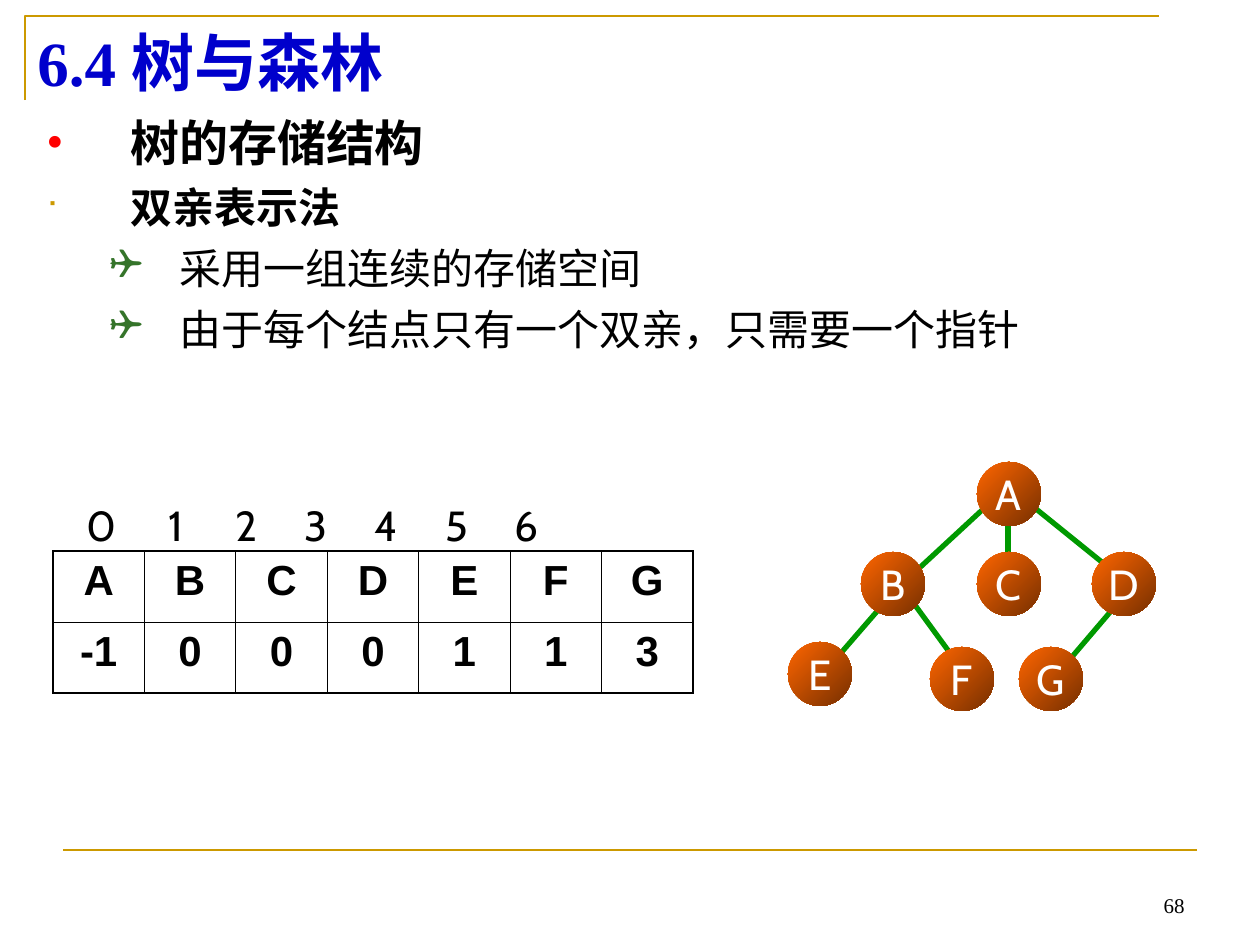
import pptx
import pptx.dml.color
import pptx.enum.shapes
import pptx.enum.text
import pptx.util
from lxml import etree
from pptx.oxml.ns import qn

PX_PER_INCH = 126
CJK, SERIF, SANS, ROUND = "Noto Sans CJK SC", "Times New Roman", "Arial", "Cabin"
GOLD, GREEN, BLACK = "CC9900", "009900", "000000"
ALIGN = pptx.enum.text.PP_ALIGN
ANCHOR = pptx.enum.text.MSO_ANCHOR


def px(v):
    return pptx.util.Emu(round(v * 914400 / PX_PER_INCH))


def rgb(color):
    return pptx.dml.color.RGBColor.from_string(color)


def sub(parent, tag, **attrs):
    return etree.SubElement(parent, qn(tag), attrs)


def add_run(p, text, size, font, color=BLACK, bold=False):
    r = p.add_run()
    r.text = text
    r.font.size, r.font.name, r.font.bold = pptx.util.Pt(size), font, bold
    r.font.color.rgb = rgb(color)
    sub(r.font._element, "a:ea", typeface=CJK)


def add_text_frame(s, x, y, w, h, anchor=ANCHOR.TOP):
    tf = s.shapes.add_textbox(px(x), px(y), px(w), px(h)).text_frame
    tf.word_wrap, tf.vertical_anchor = True, anchor
    return tf


def add_line(s, x1, y1, x2, y2, color, width):
    c = s.shapes.add_connector(pptx.enum.shapes.MSO_CONNECTOR.STRAIGHT,
                               px(x1), px(y1), px(x2), px(y2))
    c.line.color.rgb, c.line.width = rgb(color), pptx.util.Pt(width)
    sub(c._element.spPr, "a:effectLst")


def add_frame(s, x, y, w, h):
    """Draw the corner rule round the title and the rule above the footer."""
    fb = s.shapes.build_freeform(px(x), px(y + h))
    fb.add_line_segments([(px(x), px(y)), (px(x + w), px(y))], close=False)
    sp = fb.convert_to_shape()
    sp.shadow.inherit = False
    sp.fill.background()
    sp.line.color.rgb, sp.line.width = rgb(GOLD), pptx.util.Pt(1.5)
    add_line(s, x + 38, y + 834, x + 38 + w, y + 834, GOLD, 1.5)


def add_title(s, x, y, w, h):
    tf = add_text_frame(s, x, y, w, h, ANCHOR.MIDDLE)
    add_run(tf.paragraphs[0], "6.4 树与森林", 36, SERIF, "0000CC", True)


def add_page_number(s, x, y, w, h):
    p = add_text_frame(s, x, y, w, h, ANCHOR.BOTTOM).paragraphs[0]
    p.alignment = ALIGN.RIGHT
    add_run(p, "68", 12, SERIF)


def add_bullet(p, char, color, percent, indent, hanging):
    pPr = p._p.get_or_add_pPr()
    pPr.set("marL", str(px(indent)))
    pPr.set("indent", str(-px(hanging)))
    sub(sub(pPr, "a:buClr"), "a:srgbClr", val=color)
    sub(pPr, "a:buSzPct", val=str(percent * 1000))
    sub(pPr, "a:buFont", typeface=SERIF if char == "•" else "Wingdings")
    sub(pPr, "a:buChar", char=char)


def add_outline(s, x, y, w, h):
    top = (84, 84)
    nested = (133, 70)
    items = [
        ("树的存储结构", 28, True, "•", "FF0000", 100, top),
        ("双亲表示法", 24, True, "■", GOLD, 65, top),
        ("采用一组连续的存储空间", 24, False, "❑", "35742A", 100, nested),
        ("由于每个结点只有一个双亲，只需要一个指针", 24, False, "❑", "35742A", 100, nested),
    ]
    tf = add_text_frame(s, x, y, w, h)
    for i, (text, size, bold, char, color, percent, indents) in enumerate(items):
        p = tf.add_paragraph() if i else tf.paragraphs[0]
        add_bullet(p, char, color, percent, *indents)
        if i:
            p.space_before = pptx.util.Pt(6)
            p.level = int(indents is nested)
        add_run(p, text, size, CJK, bold=bold)


def add_index_row(s, x, y, w, h):
    """Place the array indexes on centred tab stops."""
    p = add_text_frame(s, x, y, w, h).paragraphs[0]
    tabs = sub(p._p.get_or_add_pPr(), "a:tabLst")
    for i in range(6):
        sub(tabs, "a:tab", pos=str(px(90 + 70 * i)), algn="ctr")
    add_run(p, "\t".join(str(i) for i in range(7)), 24, ROUND)


def set_borders(cell, **widths):
    tcPr = cell._tc.get_or_add_tcPr()
    for i, side in enumerate(("lnL", "lnR", "lnT", "lnB")):
        ln = etree.Element(qn("a:" + side), w=str(pptx.util.Pt(widths[side])))
        sub(sub(ln, "a:solidFill"), "a:srgbClr", val=BLACK)
        tcPr.insert(i, ln)


def add_parent_table(s, x, y, w, h):
    rows = ["ABCDEFG", ["-1", "0", "0", "0", "1", "1", "3"]]
    n_rows, n_cols = len(rows), len(rows[0])
    table = s.shapes.add_table(n_rows, n_cols, px(x), px(y), px(w), px(h)).table
    table.first_row = table.horz_banding = False
    for col in table.columns:
        col.width = px(w / n_cols)
    for i, values in enumerate(rows):
        table.rows[i].height = px(h / n_rows)
        for j, value in enumerate(values):
            cell = table.cell(i, j)
            cell.fill.background()
            outer = {"lnL": j == 0, "lnR": j == n_cols - 1,
                     "lnT": i == 0, "lnB": i == n_rows - 1}
            set_borders(cell, **{k: 1.08 if v else 0.45 for k, v in outer.items()})
            p = cell.text_frame.paragraphs[0]
            p.alignment = ALIGN.CENTER
            add_run(p, value, 24, SANS, bold=True)


def add_node(s, label, x, y, size):
    sp = s.shapes.add_shape(pptx.enum.shapes.MSO_SHAPE.OVAL, px(x), px(y), px(size), px(size))
    sp.shadow.inherit = False
    sp.line.fill.background()
    sp.fill.gradient()
    sp.fill.gradient_angle = 315
    for stop, position, color in zip(sp.fill.gradient_stops, (0, 1), ("FF6600", "762F00")):
        stop.position, stop.color.rgb = position, rgb(color)
    tf = sp.text_frame
    tf.word_wrap, tf.vertical_anchor = False, ANCHOR.MIDDLE
    tf.margin_left = tf.margin_right = 0
    p = tf.paragraphs[0]
    p.alignment = ALIGN.CENTER
    add_run(p, label, 24, ROUND, "FFFFFF")


def add_tree(s, x, y):
    edges = [(237, 38, 315, 101), (205, 38, 126, 111), (220, 61, 220, 92),
             (111, 124, 53, 191), (116, 128, 162, 191), (341, 128, 283, 196)]
    nodes = {"A": (189, 0), "B": (73, 90), "C": (189, 90), "D": (304, 90),
             "E": (0, 180), "F": (142, 185), "G": (231, 185)}
    for x1, y1, x2, y2 in edges:
        add_line(s, x + x1, y + y1, x + x2, y + y2, GREEN, 3)
    for label, (dx, dy) in nodes.items():
        add_node(s, label, x + dx, y + dy, 64)


def main():
    prs = pptx.Presentation()
    prs.slide_width, prs.slide_height = px(1260), px(945)
    s = prs.slides.add_slide(prs.slide_layouts[6])
    add_frame(s, 25, 16, 1134, 84)
    add_page_number(s, 903, 861, 294, 63)
    add_title(s, 25, 16, 1134, 90)
    add_outline(s, 34, 106, 1201, 535)
    add_parent_table(s, 53, 551, 640, 142)
    add_index_row(s, 74, 493, 630, 63)
    add_tree(s, 788, 462)
    prs.save("out.pptx")


if __name__ == "__main__":
    main()
